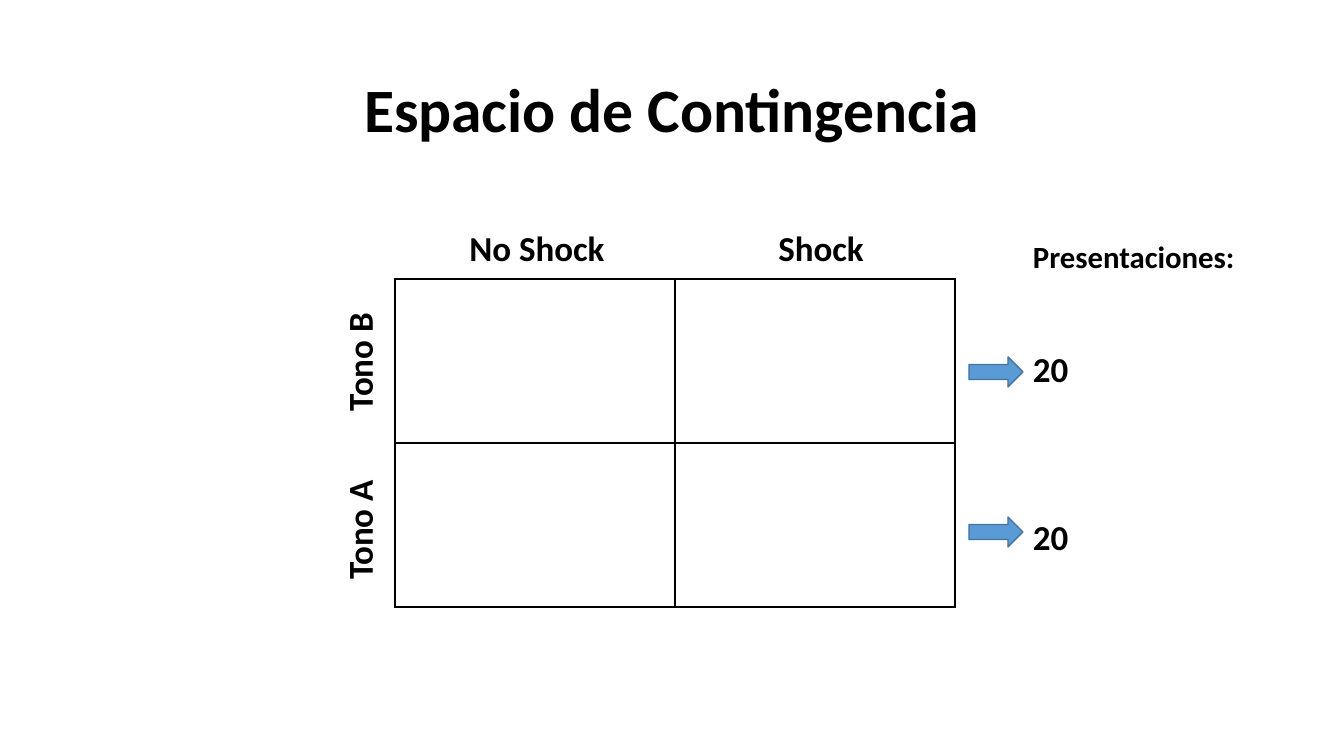
from lxml import etree
from pptx import Presentation
from pptx.dml.color import RGBColor
from pptx.enum.shapes import MSO_SHAPE
from pptx.enum.text import MSO_ANCHOR, PP_ALIGN
from pptx.oxml.ns import qn
from pptx.util import Pt

LEFT, CENTER = PP_ALIGN.LEFT, PP_ALIGN.CENTER
MIDDLE = MSO_ANCHOR.MIDDLE
RIGHT_ARROW = MSO_SHAPE.RIGHT_ARROW
BLACK = RGBColor(0x00, 0x00, 0x00)
ARROW_FILL = RGBColor(0x5B, 0x9B, 0xD5)
ARROW_LINE = RGBColor(0x43, 0x73, 0x9E)
FONT = "Calibri"

# Content: lengths in px, 100.8 px to the inch
SLIDE_SIZE = (1344, 756)
TITLE = ("Espacio de Contingencia", (92, 40, 1160, 146))
GRID = (395, 279, 560, 328)
GRID_ROWS, GRID_COLUMNS = 2, 2
COLUMN_LABELS = [("No Shock", 537), ("Shock", 821)]  # text, centre x
COLUMN_LABEL_Y = 247
ROW_LABELS = [("Tono B", 362), ("Tono A", 530)]  # text, centre y
ROW_LABEL_X = 359
COUNTS_HEADING = ("Presentaciones:", 256)
COUNTS = [("20", 368, 357), ("20", 536, 517)]  # text, centre y, arrow top
COUNTS_X = 1033
ARROW_X, ARROW_WIDTH, ARROW_HEIGHT = 969, 54, 30
LABEL_WIDTH, LABEL_HEIGHT = 230, 44


def emu(px):
    return round(px * 914400 / 100.8)


def write(frame, text, size=25, align=CENTER):
    frame.word_wrap = True
    frame.vertical_anchor = MIDDLE
    para = frame.paragraphs[0]
    para.alignment = align
    span = para.add_run()
    span.text = text
    span.font.name = FONT
    span.font.size = Pt(size)
    span.font.bold = True
    span.font.color.rgb = BLACK
    return para


def add_label(text, center_x, center_y, rotation=0, **style):
    box = page.shapes.add_textbox(
        emu(center_x - LABEL_WIDTH / 2), emu(center_y - LABEL_HEIGHT / 2),
        emu(LABEL_WIDTH), emu(LABEL_HEIGHT))
    box.rotation = rotation
    frame = box.text_frame
    frame.margin_left = frame.margin_right = 0
    frame.margin_top = frame.margin_bottom = 0
    write(frame, text, **style)


def add_borders(cell):
    properties = cell._tc.get_or_add_tcPr()
    for index, side in enumerate(("a:lnL", "a:lnR", "a:lnT", "a:lnB")):
        line = etree.Element(qn(side), w=str(Pt(1)))
        fill = etree.SubElement(line, qn("a:solidFill"))
        etree.SubElement(fill, qn("a:srgbClr"), val=str(BLACK))
        properties.insert(index, line)


deck = Presentation()
deck.slide_width, deck.slide_height = map(emu, SLIDE_SIZE)
page = deck.slides.add_slide(deck.slide_layouts[5])

# Title
title_text, title_place = TITLE
title = page.shapes.title
title.left, title.top, title.width, title.height = map(emu, title_place)
write(title.text_frame, title_text, size=44).line_spacing = 0.9

# Contingency grid
table = page.shapes.add_table(GRID_ROWS, GRID_COLUMNS, *map(emu, GRID)).table
table.first_row = table.horz_banding = False
for cell in table.iter_cells():
    cell.fill.background()
    add_borders(cell)

# Grid labels
for text, center_x in COLUMN_LABELS:
    add_label(text, center_x, COLUMN_LABEL_Y)
for text, center_y in ROW_LABELS:
    add_label(text, ROW_LABEL_X, center_y, rotation=270)

# Presentation counts with their arrows
counts_center = COUNTS_X + LABEL_WIDTH / 2
heading, heading_y = COUNTS_HEADING
add_label(heading, counts_center, heading_y, size=22, align=LEFT)
for text, center_y, arrow_top in COUNTS:
    add_label(text, counts_center, center_y, align=LEFT)
    arrow = page.shapes.add_shape(
        RIGHT_ARROW, emu(ARROW_X), emu(arrow_top),
        emu(ARROW_WIDTH), emu(ARROW_HEIGHT))
    arrow.shadow.inherit = False
    arrow.fill.solid()
    arrow.fill.fore_color.rgb = ARROW_FILL
    arrow.line.color.rgb = ARROW_LINE
    arrow.line.width = Pt(1)

deck.save("out.pptx")
